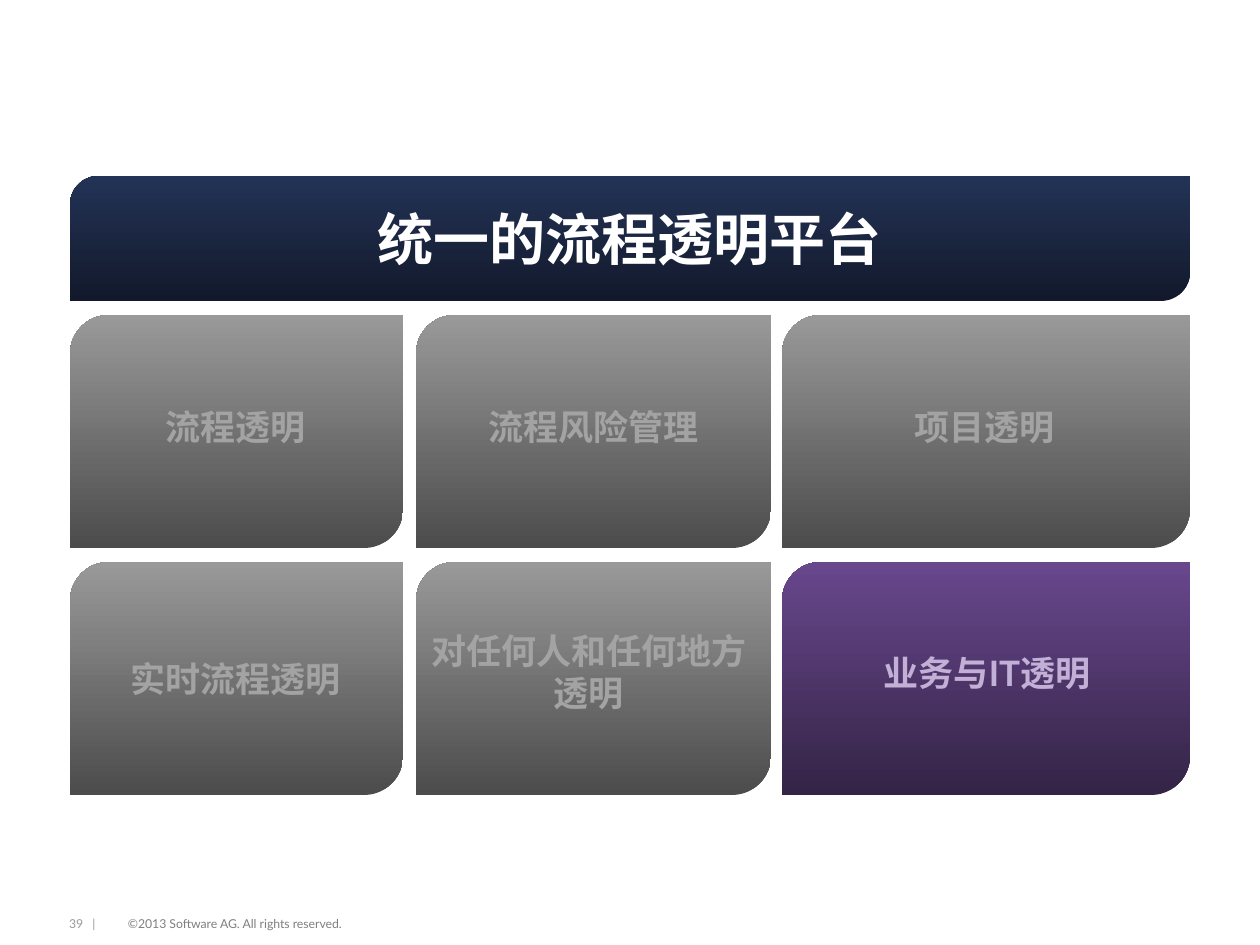
from dataclasses import dataclass

from pptx import Presentation
from pptx.dml.color import RGBColor
from pptx.enum.lang import MSO_LANGUAGE_ID
from pptx.enum.shapes import MSO_SHAPE
from pptx.enum.text import MSO_ANCHOR, PP_ALIGN
from pptx.util import Emu, Pt

PANEL = MSO_SHAPE.ROUND_2_DIAG_RECTANGLE
LEFT, CENTER = PP_ALIGN.LEFT, PP_ALIGN.CENTER
TOP, MIDDLE = MSO_ANCHOR.TOP, MSO_ANCHOR.MIDDLE
CHINESE = MSO_LANGUAGE_ID.SIMPLIFIED_CHINESE
ENGLISH = MSO_LANGUAGE_ID.ENGLISH_US

PX_PER_INCH = 126
FONT = "Lato"
NAVY = ("12192B", "233356")
GRAY = ("4C4C4C", "999999")
PURPLE = ("342446", "68478D")
MUTED, LILAC = "A3A3A3", "C2B0D7"

COLUMNS = ((70, 333), (416, 355), (782, 408))
ROW_TOPS = (315, 562)
CARD_HEIGHT = 233
LINE_HEIGHT = 42


@dataclass
class Card:
    text: str
    row: int
    column: int
    label_left: int
    label_width: int
    label_middle: int
    lines: int = 1
    gradient: tuple[str, str] = GRAY
    color: str = MUTED


CARDS = (
    Card("流程透明", 0, 0, 83, 305, 426),
    Card("流程风险管理", 0, 1, 445, 297, 426),
    Card("项目透明", 0, 2, 789, 391, 426),
    Card("实时流程透明", 1, 0, 83, 305, 678),
    Card("对任何人和任何地方透明", 1, 1, 421, 336, 671, lines=2),
    Card("业务与IT透明", 1, 2, 794, 386, 672, gradient=PURPLE, color=LILAC),
)


def px(length: int) -> Emu:
    return Emu(round(length * 914400 / PX_PER_INCH))


def rgb(value: str) -> RGBColor:
    return RGBColor.from_string(value)


def write_text(shape, text: str, *, size: int, color: str, bold: bool = False,
               align=CENTER, anchor=MIDDLE, inset: int = 0,
               language=CHINESE) -> None:
    frame = shape.text_frame
    frame.word_wrap = True
    frame.vertical_anchor = anchor
    frame.margin_left = frame.margin_right = px(inset)
    frame.margin_top = frame.margin_bottom = 0
    para = frame.paragraphs[0]
    para.alignment = align
    span = para.add_run()
    span.text = text
    span.font.name = FONT
    span.font.size = Pt(size)
    span.font.bold = bold
    span.font.color.rgb = rgb(color)
    span.font.language_id = language


def add_panel(page, left: int, top: int, width: int, height: int,
              gradient: tuple[str, str]):
    """Add a borderless panel whose gradient runs from bottom to top."""
    panel = page.shapes.add_shape(PANEL, px(left), px(top), px(width), px(height))
    panel.shadow.inherit = False
    panel.line.fill.background()
    panel.fill.gradient()
    panel.fill.gradient_angle = 90
    for stop, color in zip(panel.fill.gradient_stops, gradient):
        stop.color.rgb = rgb(color)
    return panel


def add_label(page, left: int, top: int, width: int, height: int,
              text: str, **text_format) -> None:
    box = page.shapes.add_textbox(px(left), px(top), px(width), px(height))
    write_text(box, text, **text_format)


def add_card(page, card: Card) -> None:
    left, width = COLUMNS[card.column]
    add_panel(page, left, ROW_TOPS[card.row], width, CARD_HEIGHT, card.gradient)
    height = card.lines * LINE_HEIGHT
    add_label(page, card.label_left, card.label_middle - height // 2,
              card.label_width, height, card.text,
              size=20, color=card.color, bold=True, inset=5)


def add_footer(page, left: int, width: int, text: str, color: str) -> None:
    add_label(page, left, 916, width, 15, text, size=7, color=color,
              align=LEFT, anchor=TOP, language=ENGLISH)


def main() -> None:
    deck = Presentation()
    deck.slide_width, deck.slide_height = px(1260), px(945)
    page = deck.slides.add_slide(deck.slide_layouts[6])

    add_footer(page, 128, 373, "©2013 Software AG. All rights reserved.", "7F7F7F")
    add_footer(page, 69, 54, "39   |", "999999")

    banner = add_panel(page, 70, 176, 1120, 125, NAVY)
    banner.adjustments[0] = 0.23
    write_text(banner, "统一的流程透明平台", size=32, color="FFFFFF", bold=True)

    for card in CARDS:
        add_card(page, card)

    deck.save("out.pptx")


if __name__ == "__main__":
    main()
